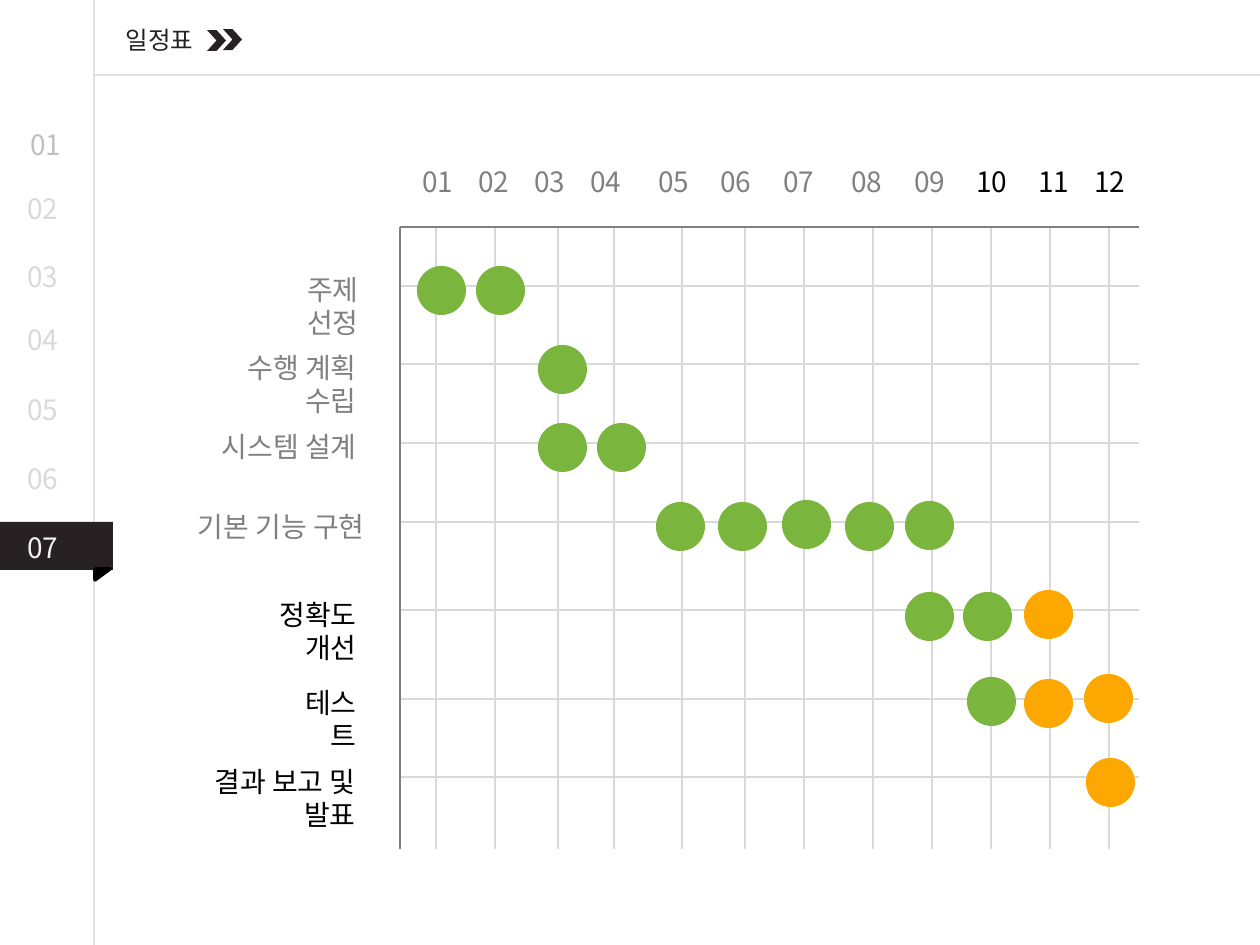
import pptx
import pptx.util
import pptx.dml.color
import pptx.enum.shapes
import pptx.enum.text
import pptx.oxml.ns
from dataclasses import dataclass
from lxml import etree


@dataclass(frozen=True)
class Theme:
    font: str = "Noto Sans CJK KR"
    title_size: int = 14
    text_size: int = 16
    ink: str = "272123"
    black: str = "000000"
    gray: str = "808080"
    grid: str = "D9D9D9"
    frame: str = "A6A6A6"
    first: str = "BFBFBF"
    current: str = "F2F2F2"
    done: str = "7AB53D"
    planned: str = "FDA800"


theme = Theme()
PX = 914400 / 126
qn = pptx.oxml.ns.qn
rgb = pptx.dml.color.RGBColor.from_string
MSO = pptx.enum.shapes.MSO_SHAPE
ALIGN = pptx.enum.text.PP_ALIGN

prs = pptx.Presentation()
prs.slide_width = pptx.util.Inches(10)
prs.slide_height = pptx.util.Inches(7.5)
s = prs.slides.add_slide(prs.slide_layouts[5])


def add_text(runs, x, y, w, h, size=theme.text_size, align=ALIGN.LEFT, tabs=(), sp=None):
    box = [round(v * PX) for v in (x, y, w, h)]
    sp = sp or s.shapes.add_textbox(*box)
    sp.left, sp.top, sp.width, sp.height = box
    tf = sp.text_frame
    tf.word_wrap = True
    tf.auto_size = pptx.enum.text.MSO_AUTO_SIZE.NONE
    tf.vertical_anchor = pptx.enum.text.MSO_ANCHOR.TOP
    p = tf.paragraphs[0]
    p.alignment = align
    if tabs:
        tab_list = etree.SubElement(p._p.get_or_add_pPr(), qn("a:tabLst"))
        for tab in tabs:
            etree.SubElement(tab_list, qn("a:tab"), pos=str(round(tab * PX)), algn="l")
    for text, color in runs:
        r = p.add_run()
        r.text = text
        r.font.name = theme.font
        r.font.size = pptx.util.Pt(size)
        r.font.color.rgb = rgb(color)
        etree.SubElement(r.font._element, qn("a:ea"), typeface=theme.font)


def add_line(x1, y1, x2, y2, color, alpha=100):
    c = s.shapes.add_connector(pptx.enum.shapes.MSO_CONNECTOR.STRAIGHT,
                               *[round(v * PX) for v in (x1, y1, x2, y2)])
    c.line.color.rgb = rgb(color)
    c.line.width = pptx.util.Pt(0.75)
    sppr = c._element.spPr
    if alpha < 100:
        clr = next(sppr.iter(qn("a:srgbClr")))
        etree.SubElement(clr, qn("a:alpha"), val=str(alpha * 1000))
    etree.SubElement(sppr, qn("a:effectLst"))


add_text([("일정표", theme.ink)], 113, 19, 212, 43, size=theme.title_size, sp=s.shapes.title)

add_line(94, 0, 94, 945, theme.frame, alpha=50)
add_line(95, 75, 1260, 75, theme.frame, alpha=50)

left, top, right, bottom = 400, 227, 1139, 849
for x in (436, 495, 558, 614, 682, 745, 804, 873, 932, 991, 1050, 1109):
    add_line(x, top, x, bottom, theme.grid)
for y in (286, 364, 443, 522, 610, 699, 777):
    add_line(left, y, right, y, theme.grid)
add_line(left, top, left, bottom, theme.gray)
add_line(left, top, right, top, theme.gray)

months_x = (422, 478, 534, 590, 658, 720, 783, 851, 914, 976, 1038, 1094)
month_runs = [
    ("\t".join(f"{m:02d}" for m in range(1, 10)) + "\t", theme.gray),
    ("10\t11\t12", theme.black),
]
add_text(month_runs, 410, 158, 738, 47, tabs=[x - months_x[0] for x in months_x[1:]])

tasks = [
    ("주제 선정", theme.gray, 239, 266, 132),
    ("수행 계획 수립", theme.gray, 180, 344, 189),
    ("시스템 설계", theme.gray, 196, 423, 173),
    ("기본 기능 구현", theme.gray, 128, 503, 249),
    ("정확도 개선", theme.black, 212, 591, 157),
    ("테스트", theme.black, 268, 679, 101),
    ("결과 보고 및 발표", theme.black, 147, 758, 221),
]
for text, color, x, y, w in tasks:
    add_text([(text, color)], x, y, w, 47, align=ALIGN.RIGHT)

done = [(417, 266), (476, 266), (538, 345), (538, 423), (597, 423),
        (656, 502), (718, 502), (782, 500), (845, 502), (905, 501),
        (905, 592), (963, 592), (967, 677)]
planned = [(1024, 590), (1024, 679), (1084, 674), (1086, 758)]
shapes = [(MSO.OVAL, theme.done, x, y, 49, 49) for x, y in done]
shapes += [(MSO.OVAL, theme.planned, x, y, 49, 49) for x, y in planned]
shapes += [
    (MSO.CHEVRON, theme.ink, 207, 30, 19, 21),
    (MSO.CHEVRON, theme.ink, 223, 29, 19, 21),
    (MSO.RECTANGLE, theme.ink, 0, 522, 113, 48),
    (MSO.RIGHT_TRIANGLE, theme.black, 97, 567, 11, 15),
]
for kind, color, *box in shapes:
    sp = s.shapes.add_shape(kind, *[round(v * PX) for v in box])
    sp.shadow.inherit = False
    sp.fill.solid()
    sp.fill.fore_color.rgb = rgb(color)
    if kind == MSO.RIGHT_TRIANGLE:
        sp.rotation = 90
        sp.line.color.rgb = rgb(color)
        sp.line.width = pptx.util.Pt(2)
    else:
        sp.line.fill.background()

section_tops = (121, 185, 253, 316, 386, 455, 524)
section_colors = {1: theme.first, 7: theme.current}
for n, y in enumerate(section_tops, 1):
    x = 18 if n == 1 else 15
    add_text([(f"{n:02d}", section_colors.get(n, theme.grid))], x, y, 68, 47)

prs.save("out.pptx")
